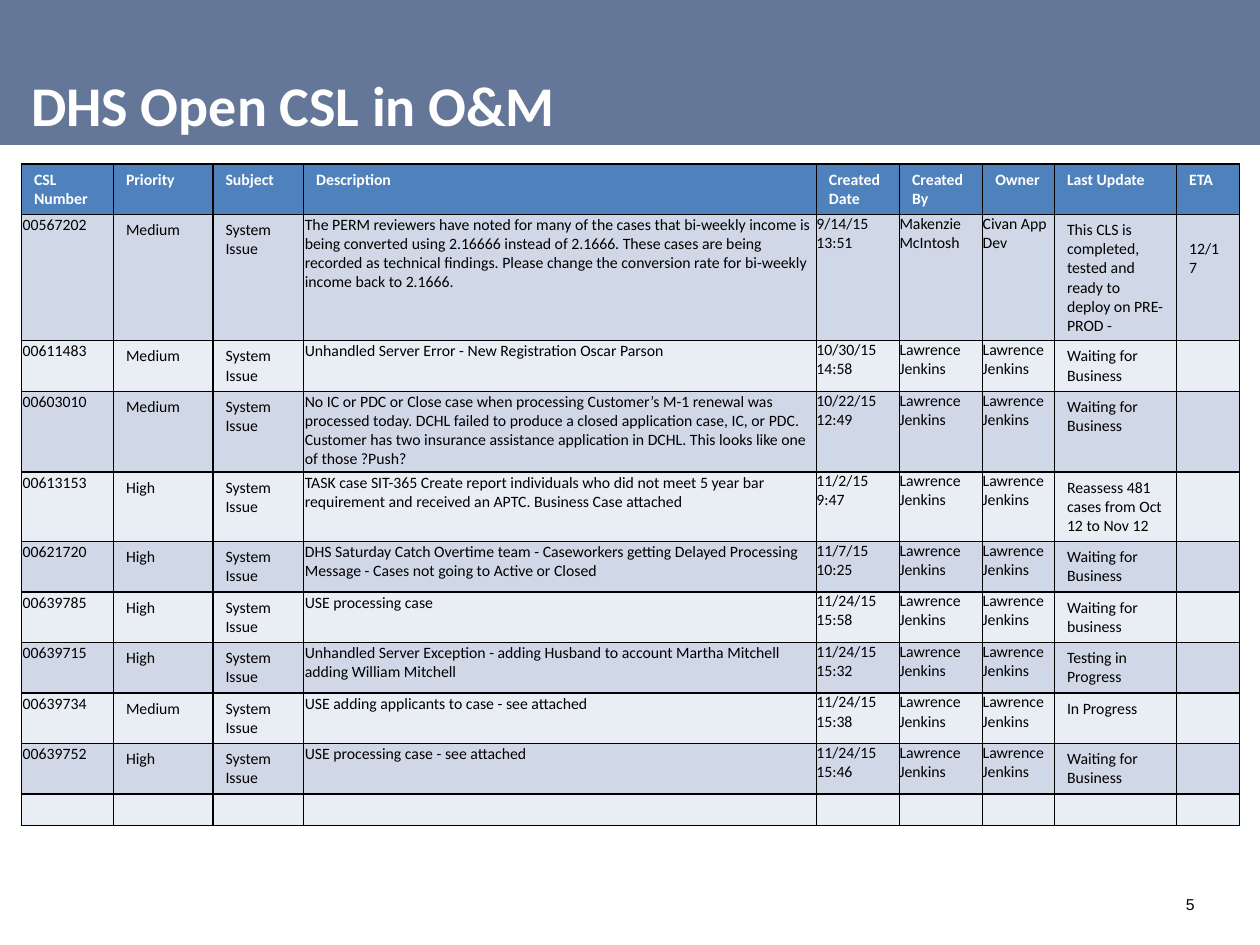
"""Build the slide listing the open DHS CSL tickets in O&M."""
from dataclasses import dataclass

from lxml.etree import SubElement
from pptx import Presentation
from pptx.dml.color import RGBColor
from pptx.enum.shapes import MSO_SHAPE
from pptx.enum.text import MSO_ANCHOR, PP_ALIGN
from pptx.oxml.ns import qn
from pptx.slide import Slide
from pptx.table import _Cell
from pptx.text.text import _Paragraph
from pptx.util import Inches, Pt

UNIT = Inches(0.01)
GRID_COLS, GRID_ROWS = 1000, 750
COLORS = {
    "banner": "657798", "header": "4F81BD", "odd": "D0D8E8", "even": "E9EDF4",
    "white": "FFFFFF", "black": "000000",
}
COL_WIDTHS = [73, 79, 72, 407, 66, 66, 57, 97, 50]
ROW_HEIGHTS = [37, 64, 33, 64, 42, 33, 35, 37, 34, 37, 23]
HEADERS = ["CSL Number", "Priority", "Subject", "Description", "Created Date",
           "Created By", "Owner", "Last Update", "ETA"]
HAIRLINE_COLS, FLUSH_COLS = (0, 3), (4, 5, 6)


@dataclass
class Box:
    """Position and size in grid units."""
    col: int
    row: int
    cols: int
    rows: int

    def emu(self) -> list[int]:
        """Return left, top, width and height."""
        return [n * UNIT for n in (self.col, self.row, self.cols, self.rows)]


@dataclass
class Ticket:
    """One open ticket."""
    number: str
    priority: str
    description: str
    created: str
    update: str
    creator: str = "Lawrence Jenkins"
    owner: str = "Lawrence Jenkins"
    eta: str = ""

    def row(self) -> list[str]:
        """Return the cell texts in column order."""
        return [self.number, self.priority, "System Issue", self.description,
                self.created, self.creator, self.owner, self.update, self.eta]


TICKETS = [
    Ticket("00567202", "Medium",
           "The PERM reviewers have noted for many of the cases that bi-weekly income is "
           "being converted using 2.16666 instead of 2.1666. These cases are being recorded "
           "as technical findings. Please change the conversion rate for bi-weekly income "
           "back to 2.1666.",
           "9/14/15 13:51",
           "This CLS is completed, tested and ready to deploy on PRE-PROD -",
           "Makenzie McIntosh", "Civan App Dev", " 12/17"),
    Ticket("00611483", "Medium", "Unhandled Server Error - New Registration Oscar Parson",
           "10/30/15 14:58", "Waiting for Business"),
    Ticket("00603010", "Medium",
           "No IC or PDC or Close case when processing Customer’s M-1 renewal was processed "
           "today. DCHL failed to produce a closed application case, IC, or PDC. Customer has "
           "two insurance assistance application in DCHL. This looks like one of those ?Push?",
           "10/22/15 12:49", "Waiting for Business"),
    Ticket("00613153", "High",
           "TASK case SIT-365 Create report individuals who did not meet 5 year bar "
           "requirement and received an APTC. Business Case attached",
           "11/2/15 9:47", "Reassess 481 cases from Oct 12 to Nov 12"),
    Ticket("00621720", "High",
           "DHS Saturday Catch Overtime team - Caseworkers getting Delayed Processing "
           "Message - Cases not going to Active or Closed",
           "11/7/15 10:25", "Waiting for Business"),
    Ticket("00639785", "High", "USE processing case", "11/24/15 15:58",
           "Waiting for business"),
    Ticket("00639715", "High",
           "Unhandled Server Exception - adding Husband to account Martha Mitchell "
           "adding William Mitchell",
           "11/24/15 15:32", "Testing in Progress"),
    Ticket("00639734", "Medium", "USE adding applicants to case - see attached",
           "11/24/15 15:38", "In Progress"),
    Ticket("00639752", "High", "USE processing case - see attached", "11/24/15 15:46",
           "Waiting for Business"),
]


def style(p: _Paragraph, size: float, color: str, bold: bool = False,
          name: str = "Calibri") -> None:
    """Set the font of a paragraph."""
    p.font.size, p.font.bold, p.font.name = Pt(size), bold, name
    p.font.color.rgb = RGBColor.from_string(COLORS[color])


def add_banner(s: Slide, box: Box) -> None:
    """Draw the band behind the title."""
    sp = s.shapes.add_shape(MSO_SHAPE.RECTANGLE, *box.emu())
    sp.shadow.inherit = False
    sp.fill.solid()
    sp.fill.fore_color.rgb = RGBColor.from_string(COLORS["banner"])
    sp.line.fill.background()


def add_text(s: Slide, box: Box, text: str, anchor: MSO_ANCHOR) -> _Paragraph:
    """Add a wrapped text box and return its paragraph."""
    tf = s.shapes.add_textbox(*box.emu()).text_frame
    tf.word_wrap, tf.vertical_anchor = True, anchor
    p = tf.paragraphs[0]
    p.text = text
    return p


def add_borders(cell: _Cell) -> None:
    """Give a cell black one-point borders."""
    tc_pr = cell._tc.get_or_add_tcPr()
    for side in ("lnL", "lnR", "lnT", "lnB"):
        ln = SubElement(tc_pr, qn(f"a:{side}"), w=str(Pt(1)))
        fill = SubElement(ln, qn("a:solidFill"))
        SubElement(fill, qn("a:srgbClr"), val=COLORS["black"])


def fill_cell(cell: _Cell, text: str, fill: str, inset: float | None) -> None:
    """Write, border and colour one cell."""
    if inset is not None:
        cell.margin_left = cell.margin_right = cell.margin_top = Inches(inset)
        cell.margin_bottom = 0
    add_borders(cell)
    cell.fill.solid()
    cell.fill.fore_color.rgb = RGBColor.from_string(COLORS[fill])
    p = cell.text_frame.paragraphs[0]
    if text:
        p.text = text
    else:
        SubElement(p._p, qn("a:endParaRPr"), sz="900")
    header = fill == "header"
    style(p, 9, "white" if header else "black", header)


def add_tickets(s: Slide, col: int, row: int) -> None:
    """Add the ticket table with an empty last row."""
    rows = [HEADERS, *(t.row() for t in TICKETS), [""] * len(HEADERS)]
    box = Box(col, row, sum(COL_WIDTHS), sum(ROW_HEIGHTS))
    table = s.shapes.add_table(len(rows), len(HEADERS), *box.emu()).table
    for column, width in zip(table.columns, COL_WIDTHS):
        column.width = width * UNIT
    insets = {**dict.fromkeys(HAIRLINE_COLS, 0.01), **dict.fromkeys(FLUSH_COLS, 0)}
    for i, texts in enumerate(rows):
        table.rows[i].height = ROW_HEIGHTS[i] * UNIT
        fill = "header" if i == 0 else "odd" if i % 2 else "even"
        for j, text in enumerate(texts):
            is_ticket = 0 < i <= len(TICKETS)
            fill_cell(table.cell(i, j), text, fill, insets.get(j) if is_ticket else None)


def main() -> None:
    """Build and save the slide."""
    prs = Presentation()
    prs.slide_width, prs.slide_height = GRID_COLS * UNIT, GRID_ROWS * UNIT
    s = prs.slides.add_slide(prs.slide_layouts[6])
    add_banner(s, Box(0, 0, GRID_COLS, 115))
    p = add_text(s, Box(901, 698, 57, 40), "5", MSO_ANCHOR.MIDDLE)
    p.alignment = PP_ALIGN.RIGHT
    style(p, 9, "black", name="Arial")
    add_tickets(s, 17, 130)
    p = add_text(s, Box(15, 3, 757, 111), "DHS Open CSL in O&M", MSO_ANCHOR.BOTTOM)
    style(p, 32, "white", True)
    prs.save("out.pptx")


if __name__ == "__main__":
    main()
